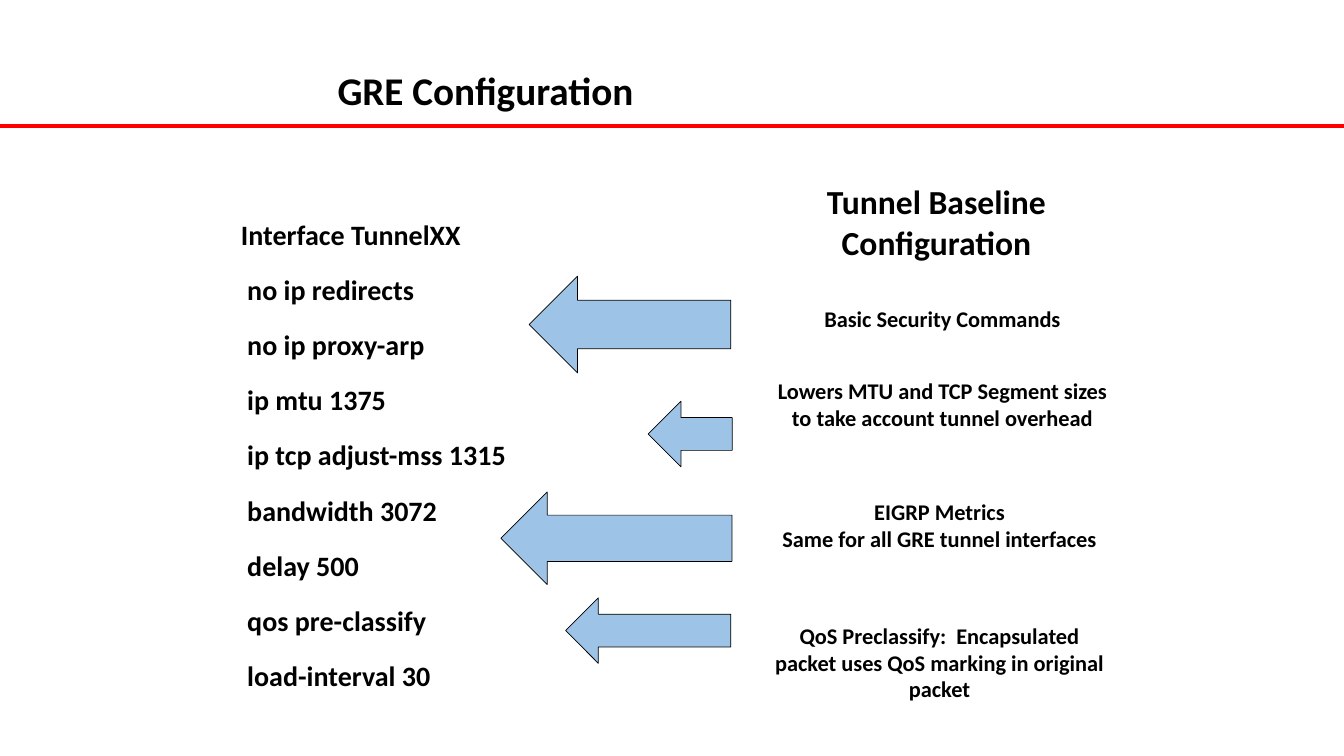
"""Build the GRE tunnel configuration slide."""
import pptx
import pptx.dml.color
import pptx.enum.shapes
import pptx.enum.text
import pptx.oxml.ns
import pptx.util
from lxml import etree

Pt = pptx.util.Pt
ALIGN = pptx.enum.text.PP_ALIGN
ANCHOR = pptx.enum.text.MSO_ANCHOR
AUTO_SIZE = pptx.enum.text.MSO_AUTO_SIZE

WIDTH, HEIGHT = 960, 540
RULE_TOP = 90
FONT = "Calibri"
COLORS = {"text": "000000", "rule": "FF0000", "arrow": "9DC3E6", "outline": "000000"}

TITLE = ("GRE Configuration", (234, 21.6, 600, 90))
COMMANDS = [
    "Interface TunnelXX",
    " no ip redirects",
    " no ip proxy-arp",
    " ip mtu 1375",
    " ip tcp adjust-mss 1315",
    " bandwidth 3072",
    " delay 500",
    " qos pre-classify",
    " load-interval 30",
]
COMMANDS_BOX = (165, 139.7, 430.6, 365.8)
COMMAND_INDENT = 36.7

ARROWS = [
    (357.8, 351.4, 165, 66.2),
    (378, 197.3, 144, 69.1),
    (463, 286.6, 60, 46.8),
    (404, 427, 118, 46.8),
]

NOTE_WIDTH = 257.8
NOTES = [
    ("Tunnel Baseline Configuration", 24, 540, 126, 65.5),
    ("Basic Security Commands", 16, 544.3, 214.6, 26.6),
    ("Lowers MTU and TCP Segment sizes to take account tunnel overhead",
     16, 544.3, 265.7, 46),
    ("EIGRP Metrics\nSame for all GRE tunnel interfaces", 16, 542.2, 352.1, 46),
    ("QoS Preclassify:  Encapsulated packet uses QoS marking in original packet",
     16, 542.2, 440.6, 65.5),
]


def color(name):
    return pptx.dml.color.RGBColor.from_string(COLORS[name])


def add_text(slide, text, box, size, align=ALIGN.LEFT, anchor=ANCHOR.TOP,
             auto_size=AUTO_SIZE.NONE):
    text_frame = slide.shapes.add_textbox(*map(Pt, box)).text_frame
    text_frame.word_wrap = True
    text_frame.auto_size = auto_size
    text_frame.vertical_anchor = anchor
    text_frame.text = text
    for paragraph in text_frame.paragraphs:
        paragraph.alignment = align
        for run in paragraph.runs:
            run.font.name = FONT
            run.font.size = Pt(size)
            run.font.bold = True
            run.font.color.rgb = color("text")
    return text_frame.paragraphs


def add_rule(slide):
    rule = slide.shapes.add_connector(
        pptx.enum.shapes.MSO_CONNECTOR.STRAIGHT,
        Pt(0), Pt(RULE_TOP), Pt(WIDTH), Pt(RULE_TOP))
    rule.line.color.rgb = color("rule")
    rule.line.width = Pt(3)
    etree.SubElement(rule._element.spPr, pptx.oxml.ns.qn("a:effectLst"))


def add_commands(slide):
    for paragraph in add_text(slide, "\n".join(COMMANDS), COMMANDS_BOX, 20):
        paragraph.line_spacing = 1.5
        paragraph.space_before = Pt(3.4)
        properties = paragraph._p.get_or_add_pPr()
        properties.set("marL", str(Pt(COMMAND_INDENT)))
        properties.set("indent", str(-Pt(COMMAND_INDENT)))


def add_arrow(slide, box):
    arrow = slide.shapes.add_shape(
        pptx.enum.shapes.MSO_SHAPE.LEFT_ARROW, *map(Pt, box))
    arrow.shadow.inherit = False
    arrow.fill.solid()
    arrow.fill.fore_color.rgb = color("arrow")
    arrow.line.color.rgb = color("outline")
    arrow.line.width = Pt(0.5)


def main():
    presentation = pptx.Presentation()
    presentation.slide_width, presentation.slide_height = Pt(WIDTH), Pt(HEIGHT)
    slide = presentation.slides.add_slide(presentation.slide_layouts[6])
    add_rule(slide)
    add_text(slide, *TITLE, 28, anchor=ANCHOR.MIDDLE)[0].line_spacing = 0.9
    add_commands(slide)
    for box in ARROWS:
        add_arrow(slide, box)
    for text, size, left, top, height in NOTES:
        add_text(slide, text, (left, top, NOTE_WIDTH, height), size,
                 align=ALIGN.CENTER, auto_size=AUTO_SIZE.SHAPE_TO_FIT_TEXT)
    presentation.save("out.pptx")


if __name__ == "__main__":
    main()
